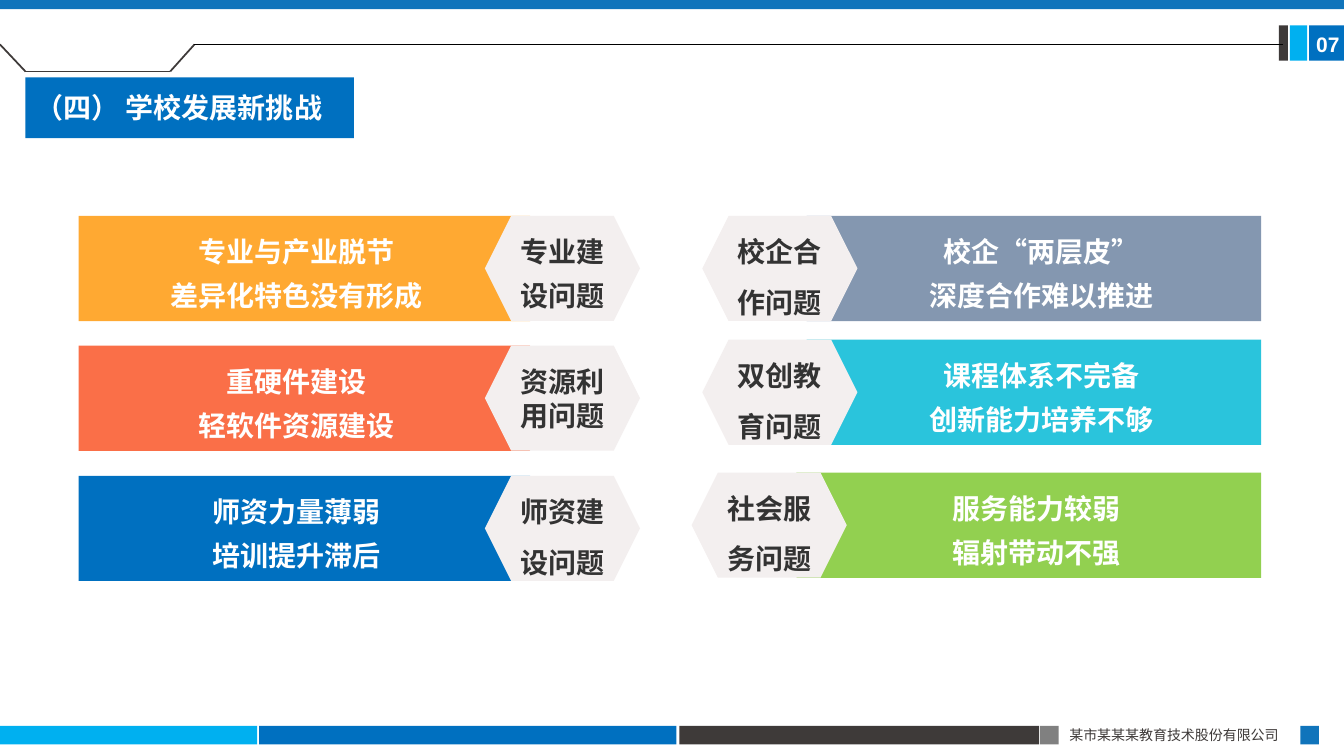
from dataclasses import dataclass
from itertools import pairwise

from lxml.etree import SubElement
from pptx import Presentation
from pptx.dml.color import RGBColor
from pptx.enum.shapes import MSO_CONNECTOR, MSO_SHAPE
from pptx.enum.text import MSO_ANCHOR, MSO_AUTO_SIZE, PP_ALIGN
from pptx.oxml.ns import qn
from pptx.util import Cm, Pt


@dataclass(frozen=True)
class Theme:
    blue: str = "0070C0"
    navy: str = "1074BB"
    sky: str = "00B0F0"
    dark: str = "3E3A39"
    gray: str = "808080"
    black: str = "000000"
    white: str = "FFFFFF"
    ink: str = "333333"
    pale: str = "F3EFEF"
    gold: str = "FFA932"
    coral: str = "FA6F48"
    slate: str = "8497B0"
    aqua: str = "2AC4DC"
    green: str = "92D050"
    sans: str = "Noto Sans CJK SC"
    latin: str = "Arial"
    large: int = 20
    medium: int = 15
    small: int = 10


THEME = Theme()
ROW = 2.65
NOTCH = 1.05
HEX = 3.91


def put(target, values):
    for name, value in values.items():
        setattr(target, name, value)


def paint(shape, color):
    """Give a shape a flat fill with no outline or shadow."""
    shape.shadow.inherit = False
    shape.fill.solid()
    shape.fill.fore_color.rgb = RGBColor.from_string(color)
    shape.line.fill.background()
    return shape


def write(shape, lines, color, size=THEME.large, face=THEME.sans, bold=True,
          align=PP_ALIGN.CENTER, space=None, pads=(0.25, 0.13, 0.25, 0.13),
          anchor=MSO_ANCHOR.MIDDLE):
    """Fill a shape with one paragraph per line; pads run left, top, right, bottom."""
    frame = shape.text_frame
    sides = ("margin_left", "margin_top", "margin_right", "margin_bottom")
    put(frame, {"word_wrap": True, "auto_size": MSO_AUTO_SIZE.NONE,
                "vertical_anchor": anchor, **dict(zip(sides, map(Cm, pads)))})
    frame.text = "\n".join(lines)
    for para in frame.paragraphs:
        put(para, {"alignment": align, "line_spacing": space})
        for run in para.runs:
            run.font.color.rgb = RGBColor.from_string(color)
            put(run.font, {"size": Pt(size), "bold": bold, "name": face})
            SubElement(run.font._element, qn("a:ea"), typeface=face)


def block(slide, box, color, kind=MSO_SHAPE.RECTANGLE):
    return paint(slide.shapes.add_shape(kind, *map(Cm, box)), color)


def label(slide, box, text, color, **style):
    area = slide.shapes.add_textbox(*map(Cm, box))
    write(area, [text], color, anchor=MSO_ANCHOR.TOP, **style)


def rule(slide, start, end, color, width):
    line = slide.shapes.add_connector(
        MSO_CONNECTOR.STRAIGHT, *map(Cm, (*start, *end)))
    line.line.color.rgb = RGBColor.from_string(color)
    line.line.width = Pt(width)
    SubElement(line._element.spPr, qn("a:effectLst"))


def panel(slide, edge, inner, top, color, lines):
    """Draw a bar from its outer edge to a notched inner end."""
    left = edge < inner
    notch = inner - NOTCH if left else inner + NOTCH
    spots = [(inner, top), (notch, top + ROW / 2), (inner, top + ROW),
             (edge, top + ROW)]
    build = slide.shapes.build_freeform(Cm(edge), Cm(top))
    build.add_line_segments([(Cm(x), Cm(y)) for x, y in spots])
    pads = (0.4, 0.13, 0.8, 0.13) if left else (0.8, 0.13, 0.4, 0.13)
    write(paint(build.convert_to_shape(), color), lines, THEME.white,
          space=1.3, pads=pads)


def badge(slide, left, top, text, space):
    shape = block(slide, (left, top, HEX, ROW), THEME.pale, MSO_SHAPE.HEXAGON)
    write(shape, [text], THEME.ink, space=space, pads=(0, 0, 0, 0))


def header(slide):
    block(slide, (0, 0, 33.87, 0.23), THEME.navy)
    for left, width, color in ((32.99, 0.88, THEME.blue),
                               (32.51, 0.43, THEME.sky),
                               (32.23, 0.23, THEME.dark)):
        block(slide, (left, 0.64, width, 0.89), color)
    label(slide, (32.92, 0.66, 1.27, 0.89), "07", THEME.white,
          size=THEME.medium, face=THEME.latin, align=PP_ALIGN.LEFT)
    bends = [(0, 1.12), (0.64, 1.8), (4.29, 1.8), (4.9, 1.12)]
    for start, end in pairwise(bends):
        rule(slide, start, end, THEME.dark, 1.25)
    rule(slide, bends[-1], (32.33, 1.12), THEME.black, 0.5)


def footer(slide):
    for left, width, color in ((0, 6.48, THEME.sky), (6.53, 10.52, THEME.blue),
                               (17.12, 9.07, THEME.dark),
                               (26.21, 0.47, THEME.gray),
                               (32.77, 0.47, THEME.navy)):
        block(slide, (left, 18.29, width, 0.47), color)
    label(slide, (26.7, 18.19, 6.1, 0.69), "某市某某某教育技术股份有限公司",
          THEME.dark, size=THEME.small, bold=False, align=PP_ALIGN.JUSTIFY)


def heading(slide, text):
    title = slide.shapes.title
    put(title, {"left": Cm(0.64), "top": Cm(1.95),
                "width": Cm(8.28), "height": Cm(1.53)})
    write(paint(title, THEME.blue), [text], THEME.white, align=PP_ALIGN.LEFT)


def main():
    deck = Presentation()
    put(deck, {"slide_width": Cm(33.87), "slide_height": Cm(19.05)})
    slide = deck.slides.add_slide(deck.slide_layouts[5])
    heading(slide, "（四） 学校发展新挑战")
    header(slide)
    footer(slide)

    # outer edge, inner end, badge left, top, colour, lines, badge text, spacing
    issues = (
        (1.98, 13.36, 12.22, 5.44, THEME.gold,
         ["专业与产业脱节", "差异化特色没有形成"], "专业建设问题", 1.3),
        (1.98, 13.36, 12.22, 8.71, THEME.coral,
         ["重硬件建设", "轻软件资源建设"], "资源利用问题", None),
        (1.98, 13.36, 12.22, 11.99, THEME.blue,
         ["师资力量薄弱", "培训提升滞后"], "师资建设问题", 1.5),
        (31.78, 20.33, 17.7, 5.44, THEME.slate,
         ["校企“两层皮”", "深度合作难以推进"], "校企合作问题", 1.5),
        (31.78, 20.33, 17.7, 8.56, THEME.aqua,
         ["课程体系不完备", "创新能力培养不够"], "双创教育问题", 1.5),
        (31.78, 20.07, 17.43, 11.91, THEME.green,
         ["服务能力较弱", "辐射带动不强"], "社会服务问题", 1.5),
    )
    for edge, inner, left, top, color, lines, text, space in issues:
        panel(slide, edge, inner, top, color, lines)
        badge(slide, left, top, text, space)
    deck.save("out.pptx")


if __name__ == "__main__":
    main()
